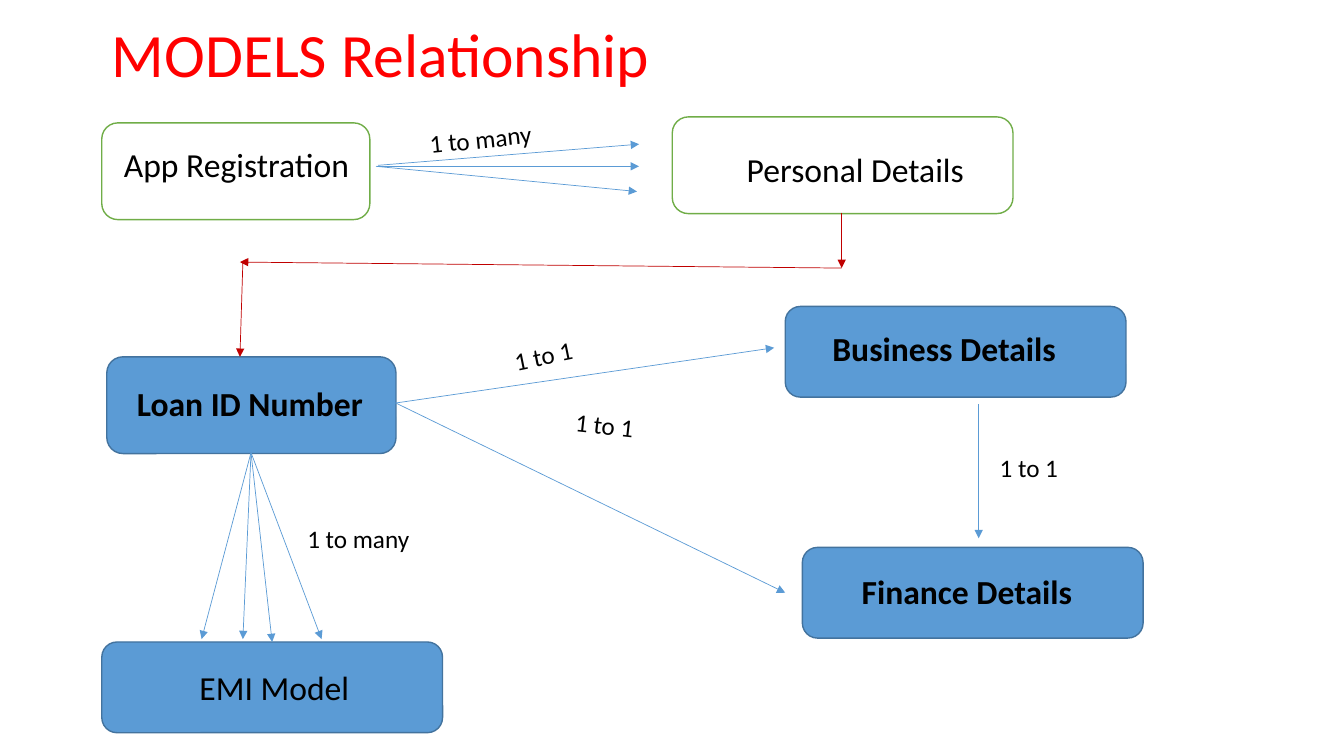
from dataclasses import dataclass

from lxml import etree
from pptx import Presentation
from pptx import util as u
from pptx.dml.color import RGBColor
from pptx.enum import shapes, text
from pptx.oxml import ns


@dataclass(frozen=True)
class Theme:
    font: str = "Calibri"
    title: str = "FF0000"
    ink: str = "000000"
    paper: str = "FFFFFF"
    entry: str = "70AD47"
    detail: str = "5B9BD5"
    detail_edge: str = "43739E"
    handover: str = "C00000"
    title_size: float = 44
    name_size: float = 24
    label_size: float = 18
    edge: float = 1
    arrow: float = 0.5


def apply(target, values):
    for name, value in values.items():
        setattr(target, name, value)


class Diagram:
    def __init__(self, slide, theme):
        self.slide = slide
        self.theme = theme

    def box(self, place, fill, edge):
        body = self.slide.shapes.add_shape(
            shapes.MSO_SHAPE.ROUNDED_RECTANGLE, *map(u.Pt, place))
        body.shadow.inherit = False
        body.fill.solid()
        body.fill.fore_color.rgb = RGBColor.from_string(fill)
        body.line.color.rgb = RGBColor.from_string(edge)
        body.line.width = u.Pt(self.theme.edge)

    def words(self, wording, place, size, color=None, bold=False, turn=0,
              anchor=text.MSO_ANCHOR.TOP, spacing=1.0):
        holder = self.slide.shapes.add_textbox(*map(u.Pt, place))
        holder.rotation = turn
        apply(holder.text_frame, {"word_wrap": True, "vertical_anchor": anchor})
        line = holder.text_frame.paragraphs[0]
        line.line_spacing = spacing
        run = line.add_run()
        run.text = wording
        apply(run.font, {"name": self.theme.font, "size": u.Pt(size), "bold": bold})
        run.font.color.rgb = RGBColor.from_string(color or self.theme.ink)

    def arrow(self, start, end, color):
        link = self.slide.shapes.add_connector(
            shapes.MSO_CONNECTOR.STRAIGHT, *map(u.Pt, start + end))
        link.line.color.rgb = RGBColor.from_string(color)
        link.line.width = u.Pt(self.theme.arrow)
        outline = link.line._get_or_add_ln()
        etree.SubElement(outline, ns.qn("a:tailEnd"), type="triangle")
        etree.SubElement(link._element.spPr, ns.qn("a:effectLst"))


def main():
    deck = Presentation()
    apply(deck, {"slide_width": u.Pt(960), "slide_height": u.Pt(540)})
    theme = Theme()
    diagram = Diagram(deck.slides.add_slide(deck.slide_layouts[6]), theme)

    diagram.words("MODELS Relationship", (72.7, -10.8, 406.8, 104.4),
                  theme.title_size, theme.title,
                  anchor=text.MSO_ANCHOR.MIDDLE, spacing=0.9)

    entry = (theme.paper, theme.entry)
    detail = (theme.detail, theme.detail_edge)
    models = [
        ("App Registration", (72.7, 87.8, 191.5, 69.1), entry,
         (81.4, 99.4, 186.5, 36), False),
        ("Personal Details", (480.2, 83.5, 243.4, 69.1), entry,
         (526.3, 103, 236.9, 36), False),
        ("Loan ID Number", (76.3, 254.9, 206.6, 69.1), detail,
         (90.7, 270, 191.5, 36), True),
        ("Business Details", (560.9, 218.9, 243.4, 64.8), detail,
         (587.5, 230.4, 190.8, 36), True),
        ("Finance Details", (573.1, 391, 243.4, 64.8), detail,
         (608.4, 403.9, 181.4, 65.5), True),
        ("EMI Model", (72.7, 458.6, 243.4, 64.8), detail,
         (135.4, 473, 180.7, 36), False),
    ]
    for name, outline, colors, name_place, bold in models:
        diagram.box(outline, *colors)
        diagram.words(name, name_place, theme.name_size, bold=bold)

    registration_to_personal = [
        ((270, 118.8), (456.5, 118.8)),
        ((270, 118.1), (456.5, 103)),
        ((268.6, 118.8), (455, 136.8)),
    ]
    loan_bottom = (179.3, 323.3)
    emi_ends = [(144, 456.5), (194.4, 458.6), (173.5, 456.5), (229.7, 456.5)]
    loan_to_emi = [(loan_bottom, end) for end in emi_ends]
    between_details = [
        ((272.2, 289.4), (553, 248.4)),
        ((283, 288), (560.9, 423.4)),
        ((699.1, 288.7), (699.1, 384.5)),
    ]
    for start, end in registration_to_personal + loan_to_emi + between_details:
        diagram.arrow(start, end, theme.detail)

    personal_to_loan = [
        ((601.2, 151.9), (601.2, 191.5)),
        ((601.2, 191.5), (171.4, 187.2)),
        ((173.5, 187.2), (171.4, 254.9)),
    ]
    for start, end in personal_to_loan:
        diagram.arrow(start, end, theme.handover)

    relations = [
        ("1 to many", 299.5, 80.6, 167.8, -5.8),
        ("1 to 1", 360, 237.6, 74.9, -11.5),
        ("1 to 1", 403.9, 290.2, 74.9, 6.3),
        ("1 to many", 212.4, 370.1, 118.8, 0),
        ("1 to 1", 707, 319.7, 74.9, 0),
    ]
    for relation, left, top, width, turn in relations:
        diagram.words(relation, (left, top, width, 28.8), theme.label_size, turn=turn)

    deck.save("out.pptx")


if __name__ == "__main__":
    main()
